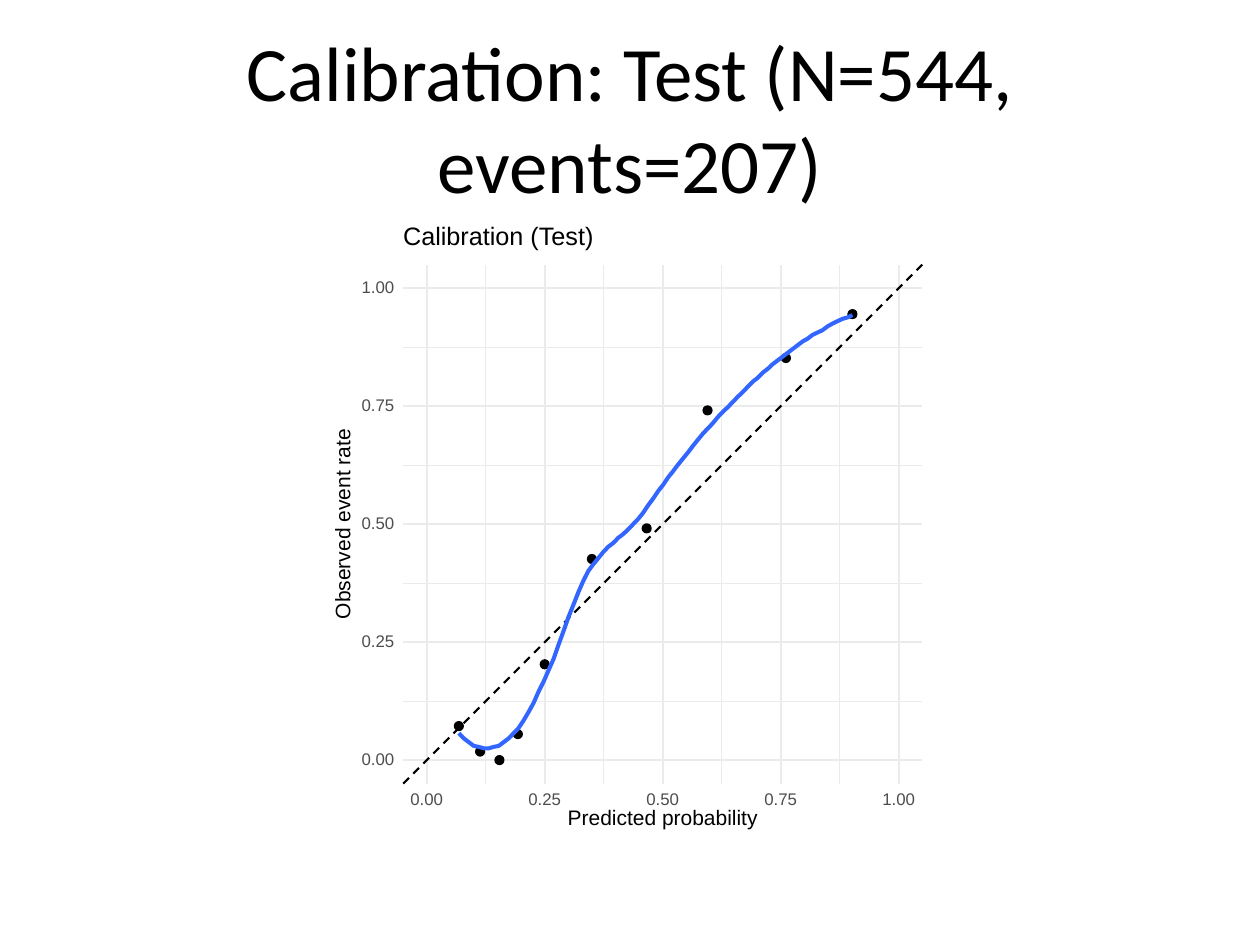
from collections import namedtuple
from dataclasses import dataclass

from pptx import Presentation, util as u
from pptx.dml.color import RGBColor
from pptx.enum import dml, shapes, text
from pptx.oxml import xmlchemy

Box = namedtuple("Box", "left top width height")


@dataclass(frozen=True)
class Theme:
    """Colours, fonts, type sizes and line widths."""

    white: str = "FFFFFF"
    black: str = "000000"
    grid: str = "EBEBEB"
    tick: str = "4D4D4D"
    curve: str = "3366FF"
    title_font: str = "Calibri"
    chart_font: str = "Arial"
    title_size: float = 44
    heading_size: float = 14.4
    label_size: float = 12
    tick_size: float = 9.6
    minor_width: float = 0.58
    major_width: float = 1.16
    dot_width: float = 0.77
    curve_width: float = 2.33


THEME = Theme()
AXIS_LOW, AXIS_HIGH = -5, 105
MAJOR_TICKS = range(0, 101, 25)
MINOR_TICKS = [tick + 12.5 for tick in MAJOR_TICKS[:-1]]
PREDICTED = [6.8, 11.3, 15.4, 19.3, 25, 35, 46.6, 59.5, 76.1, 90.2]
OBSERVED = [7.2, 1.8, 0, 5.5, 20.3, 42.6, 49.1, 74.1, 85.2, 94.5]
SMOOTHED = [
    5.7, 4.6, 3.8, 3, 2.8, 2.5, 2.5, 2.8, 3, 3.8,
    4.6, 5.7, 6.8, 8.4, 10.2, 12.1, 14.5, 16.6, 19, 21.4,
    24.4, 27.3, 30.3, 32.9, 35.6, 38, 40.1, 41.5, 42.8, 44.1,
    45.2, 46, 47.1, 47.9, 48.9, 50, 51.1, 52.4, 54, 55.4,
    57, 58.3, 59.9, 61.2, 62.6, 63.9, 65.2, 66.6, 67.9, 69.2,
    70.3, 71.4, 72.7, 73.8, 74.8, 75.9, 77, 78, 79.1, 80.2,
    81, 82.1, 82.9, 83.9, 84.7, 85.5, 86.3, 87.1, 87.9, 88.7,
    89.3, 90.1, 90.6, 91.1, 91.9, 92.5, 93, 93.5, 93.8, 94.3,
]


def inches(*values):
    """Convert numbers to lengths."""
    return [u.Inches(value) for value in values]


def locate(panel, x, y):
    """Map a pair of percentages to a point in the panel."""
    span = AXIS_HIGH - AXIS_LOW
    return (
        panel.left + (x - AXIS_LOW) / span * panel.width,
        panel.top + (AXIS_HIGH - y) / span * panel.height,
    )


def write(frame, content, *, size, font=THEME.chart_font, color=THEME.black,
          align=text.PP_ALIGN.CENTER):
    """Put formatted text into a text frame."""
    frame.vertical_anchor = text.MSO_ANCHOR.MIDDLE
    paragraph = frame.paragraphs[0]
    paragraph.alignment = align
    run = paragraph.add_run()
    run.text = content
    run.font.size = u.Pt(size)
    run.font.name = font
    run.font.color.rgb = RGBColor.from_string(color)


def add_label(parts, box, content, *, rotation=0, **style):
    """Add an unwrapped label without margins."""
    label = parts.add_textbox(*inches(*box))
    label.rotation = rotation
    frame = label.text_frame
    frame.word_wrap = False
    frame.margin_left = frame.margin_right = 0
    frame.margin_top = frame.margin_bottom = 0
    frame.paragraphs[0].line_spacing = u.Pt(style["size"])
    write(frame, content, **style)


def set_line(line, color, width):
    """Colour a line and set its width."""
    line.color.rgb = RGBColor.from_string(color)
    line.width = u.Pt(width)


def add_filled(parts, kind, box, color, line_width):
    """Add a filled preset shape outlined in its own colour."""
    shape = parts.add_shape(kind, *inches(*box))
    shape.shadow.inherit = False
    shape.fill.solid()
    shape.fill.fore_color.rgb = RGBColor.from_string(color)
    set_line(shape.line, color, line_width)


def add_line(parts, panel, start, end, color, width):
    """Add a straight line between two data points."""
    ends = inches(*locate(panel, *start), *locate(panel, *end))
    line = parts.add_connector(shapes.MSO_CONNECTOR.STRAIGHT, *ends)
    line._element.spPr.append(xmlchemy.OxmlElement("a:effectLst"))
    set_line(line.line, color, width)
    return line


def add_grid(parts, panel):
    """Draw the minor and major grid and the diagonal."""
    for ticks, width in ((MINOR_TICKS, THEME.minor_width),
                         (MAJOR_TICKS, THEME.major_width)):
        for tick in ticks:
            add_line(parts, panel, (AXIS_LOW, tick), (AXIS_HIGH, tick), THEME.grid, width)
            add_line(parts, panel, (tick, AXIS_LOW), (tick, AXIS_HIGH), THEME.grid, width)
    diagonal = add_line(parts, panel, (AXIS_LOW, AXIS_LOW), (AXIS_HIGH, AXIS_HIGH),
                        THEME.black, THEME.major_width)
    diagonal.line.dash_style = dml.MSO_LINE.DASH


def add_observations(parts, panel, diameter=0.07):
    """Draw one dot for each group of predictions."""
    for x, y in zip(PREDICTED, OBSERVED):
        center_x, center_y = locate(panel, x, y)
        box = Box(center_x - diameter / 2, center_y - diameter / 2, diameter, diameter)
        add_filled(parts, shapes.MSO_SHAPE.OVAL, box, THEME.black, THEME.dot_width)


def add_curve(parts, panel):
    """Draw the smoothed curve at evenly spaced predictions."""
    step = (PREDICTED[-1] - PREDICTED[0]) / (len(SMOOTHED) - 1)
    points = [
        inches(*locate(panel, PREDICTED[0] + index * step, value))
        for index, value in enumerate(SMOOTHED)
    ]
    builder = parts.build_freeform(*points[0])
    builder.add_line_segments(points[1:], close=False)
    curve = builder.convert_to_shape()
    curve.shadow.inherit = False
    curve.fill.background()
    set_line(curve.line, THEME.curve, THEME.curve_width)


def add_axis_labels(parts, panel):
    """Write tick values, axis names and the heading."""
    width, height = 0.26, 0.1
    bottom = panel.top + panel.height
    tick_style = {"size": THEME.tick_size, "color": THEME.tick}
    for tick in MAJOR_TICKS:
        x, y = locate(panel, tick, tick)
        value = f"{tick / 100:.2f}"
        add_label(parts, Box(panel.left - 0.33, y - height / 2, width, height),
                  value, **tick_style)
        add_label(parts, Box(x - width / 2, bottom + 0.08, width, height),
                  value, **tick_style)
    name_width = 1.51
    center_x, center_y = panel.left + panel.width / 2, panel.top + panel.height / 2
    add_label(parts, Box(center_x - name_width / 2, bottom + 0.21, name_width, 0.15),
              "Predicted probability", size=THEME.label_size)
    add_label(parts, Box(panel.left - 0.47 - name_width / 2, center_y - 0.06, name_width, 0.12),
              "Observed event rate", size=THEME.label_size, rotation=270)
    add_label(parts, Box(panel.left, panel.top - 0.31, 1.53, 0.19), "Calibration (Test)",
              size=THEME.heading_size, align=text.PP_ALIGN.LEFT)


def add_calibration_plot(slide, box):
    """Draw the calibration plot inside a box."""
    parts = slide.shapes.add_group_shape().shapes
    add_filled(parts, shapes.MSO_SHAPE.RECTANGLE, box, THEME.white, 0.75)
    panel = Box(box.left + 2.7, box.top + 0.35, 4.12, 4.12)
    add_grid(parts, panel)
    add_observations(parts, panel)
    add_curve(parts, panel)
    add_axis_labels(parts, panel)


def add_title(slide, box, content):
    """Place and format the slide title."""
    title = slide.shapes.title
    title.left, title.top, title.width, title.height = inches(*box)
    write(title.text_frame, content, size=THEME.title_size, font=THEME.title_font)


def main():
    """Build and save the presentation."""
    presentation = Presentation()
    presentation.slide_width, presentation.slide_height = inches(10, 7.5)
    slide = presentation.slides.add_slide(presentation.slide_layouts[5])
    add_title(slide, Box(0.5, 0.3, 9, 1.25), "Calibration: Test (N=544, events=207)")
    add_calibration_plot(slide, Box(0.5, 1.75, 9, 4.95))
    presentation.save("out.pptx")


if __name__ == "__main__":
    main()
